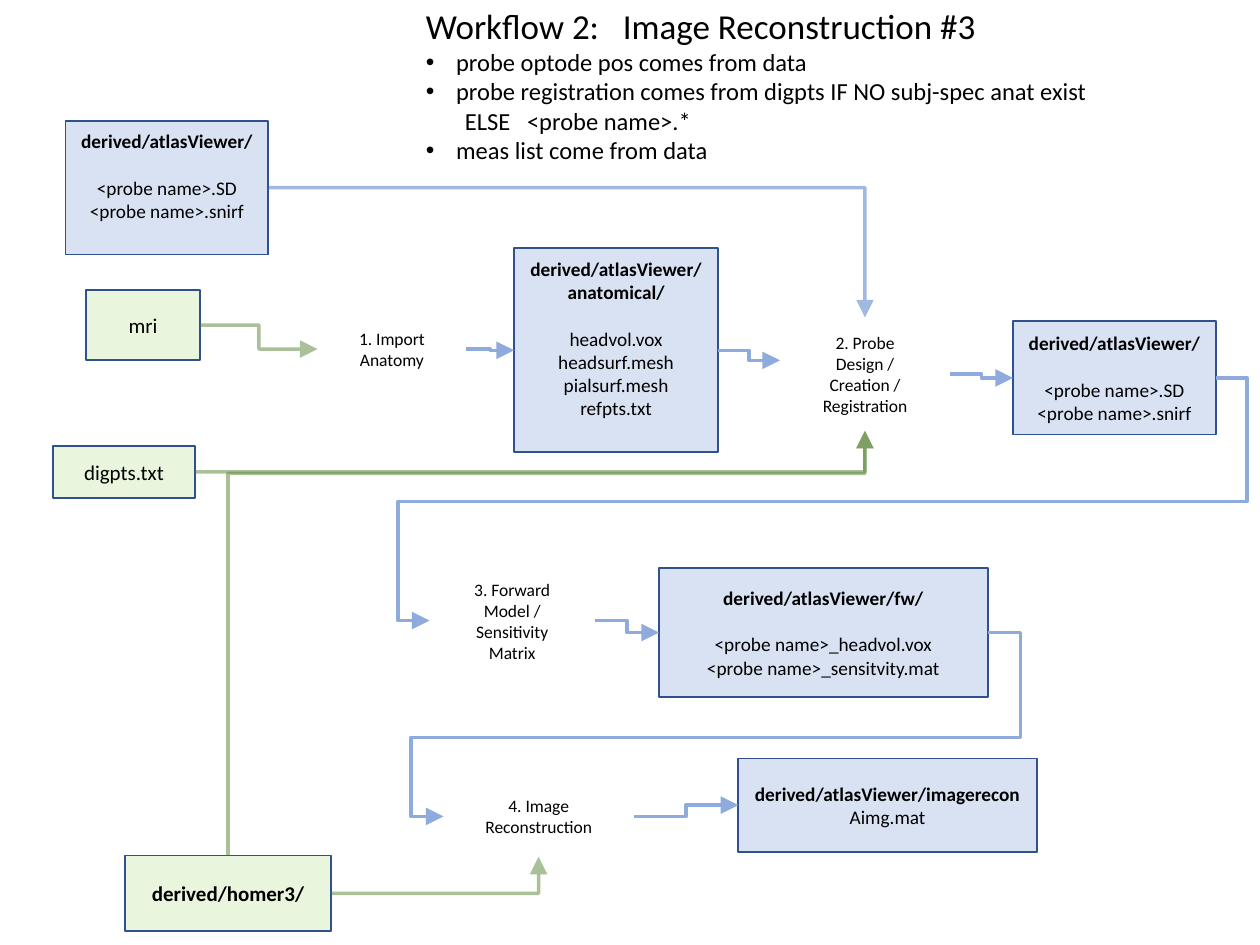
from dataclasses import dataclass

from lxml import etree
from pptx import Presentation
from pptx.dml.color import RGBColor
from pptx.enum.shapes import MSO_CONNECTOR, MSO_SHAPE
from pptx.enum.text import MSO_ANCHOR, PP_ALIGN
from pptx.oxml.ns import qn
from pptx.util import Inches, Pt

ELBOW = MSO_CONNECTOR.ELBOW
RECTANGLE = MSO_SHAPE.RECTANGLE
MIDDLE = MSO_ANCHOR.MIDDLE
CENTER = PP_ALIGN.CENTER
LEFT_ALIGN = PP_ALIGN.LEFT
TOP, LEFT, BOTTOM, RIGHT = range(4)


@dataclass(frozen=True)
class Theme:
    font: str = "Calibri"
    text: str = "000000"
    outline: str = "2F528F"
    data_fill: str = "4472C4"
    input_fill: str = "92D050"
    data_flow: str = "8FAADC"
    probe_flow: str = "4472C4"
    input_flow: str = "548235"
    fill_opacity: int = 20
    flow_opacity: int = 50
    title_size: int = 20
    bullet_size: int = 14
    input_size: int = 12
    data_size: int = 11
    step_size: int = 10
    outline_width: int = 1
    flow_width: int = 2
    section_gap: float = 13.4
    text_line: float = 0.19


class WorkflowSlide:
    def __init__(self, slide, theme):
        self.slide = slide
        self.theme = theme

    def set_opacity(self, parent, percent):
        color = parent.find(qn("a:solidFill")).find(qn("a:srgbClr"))
        etree.SubElement(color, qn("a:alpha"), val=str(percent * 1000))

    def add_run(self, paragraph, text, size, bold=False):
        run = paragraph.add_run()
        run.text = text
        run.font.name = self.theme.font
        run.font.size = Pt(size)
        run.font.bold = bold
        run.font.color.rgb = RGBColor.from_string(self.theme.text)

    def add_paragraph(self, frame, text, size, bold=False, align=CENTER):
        first = not frame.paragraphs[0].runs
        paragraph = frame.paragraphs[0] if first else frame.add_paragraph()
        paragraph.alignment = align
        self.add_run(paragraph, text, size, bold)
        return paragraph

    def box(self, bounds, fill):
        shape = self.slide.shapes.add_shape(RECTANGLE, *map(Inches, bounds))
        shape.shadow.inherit = False
        shape.fill.solid()
        shape.fill.fore_color.rgb = RGBColor.from_string(fill)
        self.set_opacity(shape.element.spPr, self.theme.fill_opacity)
        shape.line.color.rgb = RGBColor.from_string(self.theme.outline)
        shape.line.width = Pt(self.theme.outline_width)
        shape.text_frame.word_wrap = True
        shape.text_frame.vertical_anchor = MIDDLE
        return shape

    def input_box(self, bounds, text, bold=False):
        shape = self.box(bounds, self.theme.input_fill)
        self.add_paragraph(shape.text_frame, text, self.theme.input_size, bold)
        return shape

    def data_box(self, bounds, headings, files, gap=True, raised=False):
        theme = self.theme
        shape = self.box(bounds, theme.data_fill)
        frame = shape.text_frame
        if raised:
            frame.margin_bottom = Inches(0.05 + theme.text_line)
        for heading in headings:
            self.add_paragraph(frame, heading, theme.data_size, True)
        for index, name in enumerate(files):
            paragraph = self.add_paragraph(frame, name, theme.data_size)
            if gap and index == 0:
                paragraph.space_before = Pt(theme.section_gap)
        return shape

    def step(self, bounds, text):
        shape = self.slide.shapes.add_textbox(*map(Inches, bounds))
        frame = shape.text_frame
        frame.word_wrap = True
        frame.vertical_anchor = MIDDLE
        frame.margin_left = frame.margin_right = Inches(0.1 + 0.146 * bounds[2])
        self.add_paragraph(frame, text, self.theme.step_size)
        return shape

    def heading(self, bounds, title, lines):
        frame = self.slide.shapes.add_textbox(*map(Inches, bounds)).text_frame
        frame.word_wrap = True
        frame.margin_left = Inches(1.07)
        self.add_paragraph(frame, title, self.theme.title_size, align=LEFT_ALIGN)
        for text, bulleted in lines:
            paragraph = self.add_paragraph(
                frame, text, self.theme.bullet_size, align=LEFT_ALIGN)
            properties = paragraph._p.get_or_add_pPr()
            if bulleted:
                properties.set("marL", str(Inches(0.24)))
                properties.set("indent", str(-Inches(0.24)))
                etree.SubElement(properties, qn("a:buFont"), typeface="Arial")
                etree.SubElement(properties, qn("a:buChar"), char="•")
            else:
                properties.set("marL", str(Inches(0.31)))
                properties.set("indent", "0")

    def flow(self, start, start_side, end, end_side, color,
             kind="bentConnector3", adjustments=(), opacity=None, end_y=None):
        connector = self.slide.shapes.add_connector(ELBOW, 0, 0, 0, 0)
        connector.begin_connect(start, start_side)
        if end_y is None:
            connector.end_connect(end, end_side)
        else:
            connector.end_x, connector.end_y = end.left, Inches(end_y)
        properties = connector.element.spPr
        geometry = properties.find(qn("a:prstGeom"))
        geometry.set("prst", kind)
        values = geometry.find(qn("a:avLst"))
        if values is None:
            values = etree.SubElement(geometry, qn("a:avLst"))
        for number, value in enumerate(adjustments, 1):
            etree.SubElement(values, qn("a:gd"), name=f"adj{number}",
                             fmla=f"val {round(value * 100000)}")
        connector.line.color.rgb = RGBColor.from_string(color)
        connector.line.width = Pt(self.theme.flow_width)
        line = properties.find(qn("a:ln"))
        if opacity is not None:
            self.set_opacity(line, opacity)
        etree.SubElement(line, qn("a:tailEnd"), type="triangle", w="lg", len="lg")
        etree.SubElement(properties, qn("a:effectLst"))
        return connector

    def turn_upward(self, connector):
        width, height = connector.width, connector.height
        center_x = connector.left + width // 2
        center_y = connector.top + height // 2
        connector.left = center_x - height // 2
        connector.top = center_y - width // 2
        connector.width, connector.height = height, width
        transform = connector.element.spPr.find(qn("a:xfrm"))
        transform.set("rot", "5400000")
        transform.set("flipH", "1")
        transform.set("flipV", "1")


def main():
    presentation = Presentation()
    presentation.slide_width = Inches(10)
    presentation.slide_height = Inches(7.5)
    theme = Theme()
    page = WorkflowSlide(
        presentation.slides.add_slide(presentation.slide_layouts[6]), theme)
    folder = "derived/atlasViewer/"
    probe_files = ["<probe name>.SD", "<probe name>.snirf"]

    homer = page.input_box((0.99, 6.79, 1.64, 0.6), "derived/homer3/", bold=True)
    digpts = page.input_box((0.42, 3.54, 1.13, 0.41), "digpts.txt")
    mri = page.input_box((0.68, 2.3, 0.91, 0.56), "mri")
    probe = page.data_box((0.52, 0.96, 1.61, 1.06), [folder], probe_files, raised=True)
    anatomy = page.data_box(
        (4.08, 1.97, 1.62, 1.62), [folder, "anatomical/"],
        ["headvol.vox", "headsurf.mesh", "pialsurf.mesh", "refpts.txt"], raised=True)
    registered = page.data_box((8.04, 2.55, 1.61, 0.9), [folder], probe_files)
    forward = page.data_box(
        (5.23, 4.51, 2.61, 1.02), [folder + "fw/"],
        ["<probe name>_headvol.vox", "<probe name>_sensitvity.mat"])
    image = page.data_box(
        (5.86, 6.02, 2.37, 0.74), [folder + "imagerecon"], ["Aimg.mat"], gap=False)

    import_step = page.step((2.52, 2.43, 1.18, 0.68), "1. Import Anatomy")
    probe_step = page.step(
        (6.19, 2.52, 1.35, 0.9), "2. Probe Design / Creation / Registration")
    forward_step = page.step(
        (3.41, 4.53, 1.31, 0.79), "3. Forward Model / Sensitivity Matrix")
    image_step = page.step((3.52, 6.16, 1.51, 0.64), "4. Image Reconstruction")

    for start, end, end_y in [(import_step, anatomy, None), (anatomy, probe_step, 2.86),
                              (probe_step, registered, None),
                              (forward_step, forward, None), (image_step, image, None)]:
        page.flow(start, RIGHT, end, LEFT, theme.data_flow,
                  adjustments=[0.5], end_y=end_y)
    for start, end, bends in [(registered, forward_step, [-0.04, 0.51, 1.04]),
                              (forward, image_step, [-0.06, 0.57, 1.06])]:
        page.flow(start, RIGHT, end, LEFT, theme.data_flow, "bentConnector5", bends)

    faded = theme.flow_opacity
    page.flow(mri, RIGHT, import_step, LEFT, theme.input_flow,
              adjustments=[0.5], opacity=faded)
    for start, end, side, color in [(digpts, probe_step, BOTTOM, theme.input_flow),
                                    (homer, image_step, BOTTOM, theme.input_flow),
                                    (probe, probe_step, TOP, theme.probe_flow)]:
        page.flow(start, RIGHT, end, side, color, "bentConnector2", opacity=faded)
    page.turn_upward(page.flow(homer, TOP, probe_step, BOTTOM, theme.input_flow,
                               adjustments=[0.9], opacity=faded))

    page.heading(
        (2.31, -0.01, 7.36, 1.37), "Workflow 2:   Image Reconstruction #3",
        [("probe optode pos comes from data", True),
         ("probe registration comes from digpts IF NO subj-spec anat exist", True),
         ("ELSE   <probe name>.*", False),
         ("meas list come from data", True)])
    presentation.save("out.pptx")


if __name__ == "__main__":
    main()
